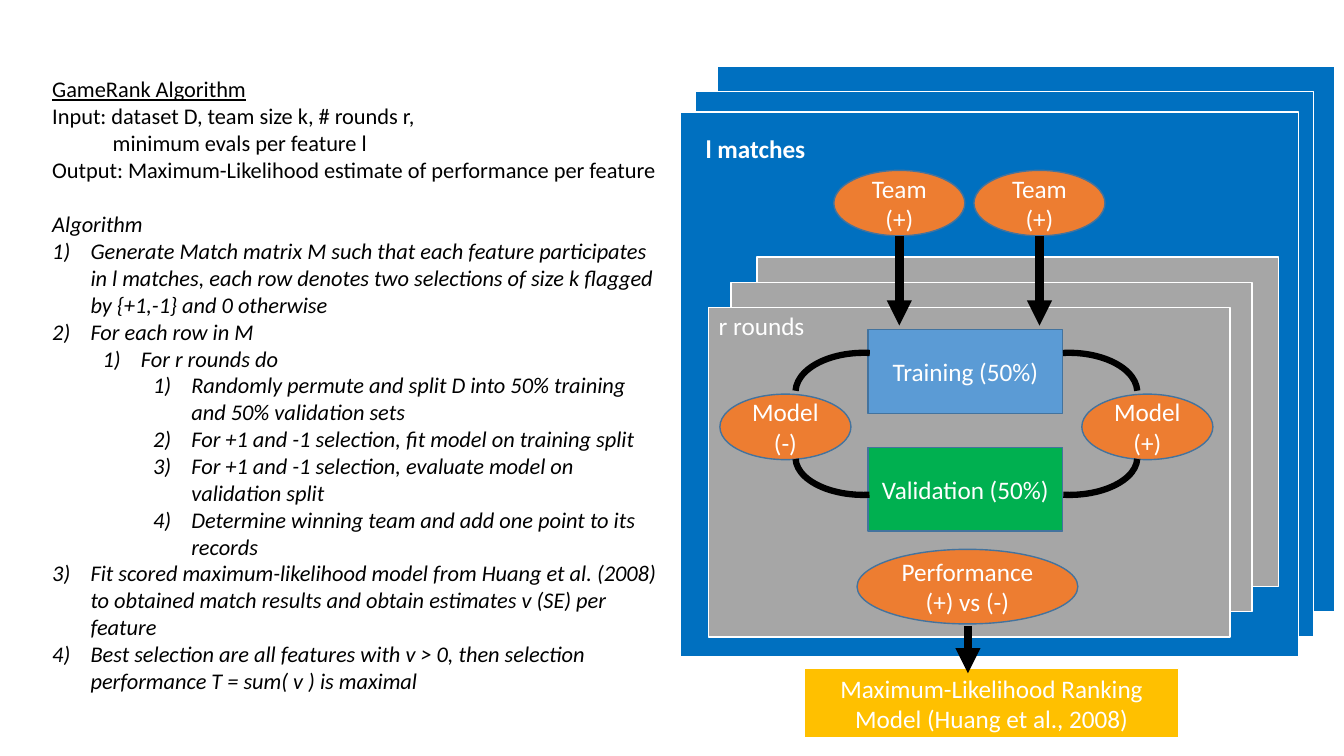
from dataclasses import dataclass

from lxml import etree
from pptx import Presentation
from pptx.dml.color import RGBColor
from pptx.enum.shapes import MSO_CONNECTOR, MSO_SHAPE
from pptx.enum.text import MSO_ANCHOR, MSO_AUTO_SIZE, PP_ALIGN
from pptx.oxml.ns import qn
from pptx.util import Inches, Pt

RECTANGLE = MSO_SHAPE.RECTANGLE
ELLIPSE = MSO_SHAPE.OVAL
ARC = MSO_SHAPE.ARC
STRAIGHT = MSO_CONNECTOR.STRAIGHT
MIDDLE = MSO_ANCHOR.MIDDLE
CENTER = PP_ALIGN.CENTER
FIT_SHAPE = MSO_AUTO_SIZE.SHAPE_TO_FIT_TEXT


@dataclass(frozen=True)
class Theme:
    font: str = "Calibri"
    body_size: float = 16
    label_size: float = 18
    blank_line: float = 19.5
    outline: float = 1
    arc_width: float = 4.5
    arrow_width: float = 6
    white: str = "FFFFFF"
    black: str = "000000"
    match: str = "0070C0"
    round: str = "A6A6A6"
    training: str = "5B9BD5"
    validation: str = "00B050"
    team: str = "ED7D31"
    ranking: str = "FFC000"
    border: str = "43739E"


class SlideBuilder:
    def __init__(self, slide, theme):
        self.slide = slide
        self.theme = theme

    def add_run(self, paragraph, text, size, color, bold=None, italic=None, underline=None):
        run = paragraph.add_run()
        run.text = text
        font = run.font
        font.name, font.size = self.theme.font, Pt(size)
        font.bold, font.italic, font.underline = bold, italic, underline
        font.color.rgb = RGBColor.from_string(color)

    def box(self, kind, left, top, width, height, fill, border, lines=()):
        shape = self.slide.shapes.add_shape(
            kind, Inches(left), Inches(top), Inches(width), Inches(height))
        shape.shadow.inherit = False
        shape.fill.solid()
        shape.fill.fore_color.rgb = RGBColor.from_string(fill)
        shape.line.color.rgb = RGBColor.from_string(border)
        shape.line.width = Pt(self.theme.outline)
        frame = shape.text_frame
        frame.word_wrap = True
        frame.vertical_anchor = MIDDLE
        for index, line in enumerate(lines):
            paragraph = frame.add_paragraph() if index else frame.paragraphs[0]
            paragraph.alignment = CENTER
            self.add_run(paragraph, line, self.theme.label_size, self.theme.white)

    def arc(self, left, top, width, height, flips):
        shape = self.slide.shapes.add_shape(
            ARC, Inches(left), Inches(top), Inches(width), Inches(height))
        shape.shadow.inherit = False
        shape.fill.background()
        shape.line.color.rgb = RGBColor.from_string(self.theme.black)
        shape.line.width = Pt(self.theme.arc_width)
        shape.adjustments[0], shape.adjustments[1] = 156.59, 215.31
        for flip in flips:
            shape.element.spPr.xfrm.set(flip, "1")

    def arrow(self, x, top, bottom):
        connector = self.slide.shapes.add_connector(
            STRAIGHT, Inches(x), Inches(top), Inches(x), Inches(bottom))
        connector.line.color.rgb = RGBColor.from_string(self.theme.black)
        connector.line.width = Pt(self.theme.arrow_width)
        etree.SubElement(connector.line._get_or_add_ln(), qn("a:tailEnd"), type="triangle")
        etree.SubElement(connector.element.spPr, qn("a:effectLst"))

    def text_box(self, left, top, width, height, wrap):
        shape = self.slide.shapes.add_textbox(
            Inches(left), Inches(top), Inches(width), Inches(height))
        frame = shape.text_frame
        frame.word_wrap = wrap
        frame.auto_size = FIT_SHAPE
        return frame

    def label(self, text, left, top, width, bold=None):
        frame = self.text_box(left, top, width, 0.4, False)
        self.add_run(frame.paragraphs[0], text, self.theme.label_size, self.theme.white, bold)

    def indent(self, paragraph, left, first=0):
        properties = paragraph._p.get_or_add_pPr()
        properties.set("marL", str(Inches(left)))
        properties.set("indent", str(Inches(first)))
        return properties

    def number(self, paragraph, level):
        paragraph.level = level
        properties = self.indent(paragraph, 0.38 + 0.5 * level, -0.38)
        etree.SubElement(properties, qn("a:buFont"), typeface="+mj-lt")
        etree.SubElement(properties, qn("a:buAutoNum"), type="arabicParenR")

    def algorithm(self, header, steps, left, top, width, height):
        size, color = self.theme.body_size, self.theme.black
        frame = self.text_box(left, top, width, height, True)
        title, *lines = header
        self.add_run(frame.paragraphs[0], title, size, color, underline=True)
        for text, margin in lines:
            paragraph = frame.add_paragraph()
            self.indent(paragraph, margin)
            self.add_run(paragraph, text, size, color)
        paragraph = frame.add_paragraph()
        paragraph.space_before = Pt(self.theme.blank_line)
        self.add_run(paragraph, "Algorithm", size, color, italic=True)
        for level, text in steps:
            paragraph = frame.add_paragraph()
            self.number(paragraph, level)
            self.add_run(paragraph, text, size, color, italic=True)


HEADER = [
    "GameRank Algorithm",
    ("Input: dataset D, team size k, # rounds r,", 0),
    ("minimum evals per feature l", 0.6),
    ("Output: Maximum-Likelihood estimate of performance per feature", 0),
]
STEPS = [
    (0, "Generate Match matrix M such that each feature participates in l matches, "
        "each row denotes two selections of size k flagged by {+1,-1} and 0 otherwise"),
    (0, "For each row in M"),
    (1, "For r rounds do"),
    (2, "Randomly permute and split D into 50% training and 50% validation sets"),
    (2, "For +1 and -1 selection, fit model on training split"),
    (2, "For +1 and -1 selection, evaluate model on validation split"),
    (2, "Determine winning team and add one point to its records"),
    (0, "Fit scored maximum-likelihood model from Huang et al. (2008) to obtained "
        "match results and obtain estimates v (SE) per feature"),
    (0, "Best selection are all features with v > 0, then selection performance "
        "T = sum( v ) is maximal"),
]

theme = Theme()
presentation = Presentation()
presentation.slide_width = Inches(13.33)
presentation.slide_height = Inches(7.5)
slide = presentation.slides.add_slide(presentation.slide_layouts[6])
builder = SlideBuilder(slide, theme)

# Stacked match and round cards
for left, top in [(7.11, 0.66), (6.9, 0.91), (6.75, 1.11)]:
    builder.box(RECTANGLE, left, top, 6.13, 5.41, theme.match, theme.white)
for left, top in [(7.51, 2.55), (7.25, 2.8), (7.03, 3.05)]:
    builder.box(RECTANGLE, left, top, 5.17, 3.27, theme.round, theme.white)
builder.label("l matches", 6.9, 1.27, 1.2, bold=True)
builder.label("r rounds", 7.03, 3.03, 1.06)

# Algorithm description
builder.algorithm(HEADER, STEPS, 0.42, 0.7, 6.24, 6.29)

# Data splits
for text, top, fill in [("Training (50%)", 3.27, theme.training),
                        ("Validation (50%)", 4.44, theme.validation)]:
    builder.box(RECTANGLE, 8.61, top, 1.93, 0.83, fill, theme.border, [text])

# Models, each joined to both splits by arcs
for text, model_left, arc_left, side in [("Model (+)", 10.73, 9.93, []),
                                         ("Model (-)", 7.14, 7.89, ["flipH"])]:
    builder.box(ELLIPSE, model_left, 3.91, 1.3, 0.65, theme.team, theme.border, [text])
    builder.arc(arc_left, 3.5, 1.35, 0.78, side)
    builder.arc(arc_left, 4.17, 1.35, 0.74, side + ["flipV"])

# Teams feeding the training split
for left in (8.27, 9.66):
    builder.box(ELLIPSE, left, 1.69, 1.3, 0.65, theme.team, theme.border, ["Team (+)"])
    builder.arrow(left + 0.65, 2.34, 3.23)

# Performance and final ranking
builder.box(ELLIPSE, 8.5, 5.45, 2.19, 0.74, theme.team, theme.border,
            ["Performance", "(+) vs (-)"])
builder.box(RECTANGLE, 7.98, 6.63, 3.71, 0.69, theme.ranking, theme.white,
            ["Maximum-Likelihood Ranking Model (Huang et al., 2008)"])
builder.arrow(9.6, 6.21, 6.68)

presentation.save("out.pptx")
